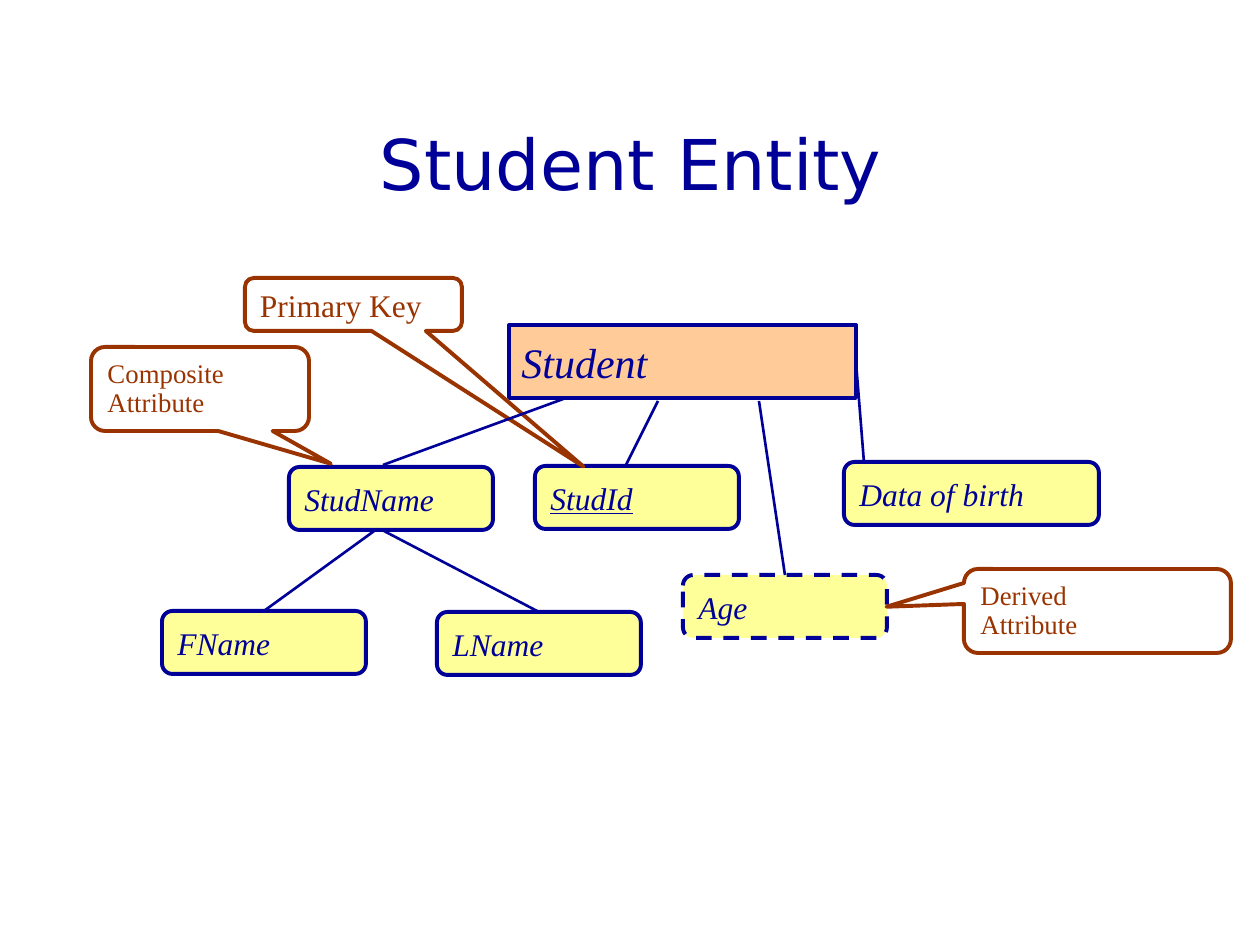
import pptx
import pptx.util
import pptx.dml.color
import pptx.enum.dml
import pptx.enum.shapes
import pptx.enum.text
import pptx.oxml

EMU_PER_PX = 914400 // 126
NAVY, BROWN = "000099", "993300"
PEACH, YELLOW, WHITE = "FFCC99", "FFFF99", "FFFFFF"
SERIF = "Times New Roman"
SHAPES = pptx.enum.shapes.MSO_SHAPE
ALIGN = pptx.enum.text.PP_ALIGN
TOP, RIGHT = 0, 3
CORNER = 0.167

ATTRIBUTE_HEIGHT = 63
ATTRIBUTES = {  # name: (left, top, width)
    "StudId": (535, 466, 204),
    "StudName": (289, 467, 204),
    "Data of birth": (844, 462, 255),
    "FName": (162, 611, 204),
    "LName": (437, 612, 204),
    "Age": (683, 575, 204),
}
CALLOUTS = [  # box, pointer tip as a share of the box, size, line spacing, text
    ((91, 347, 218, 84), (0.6, 0.89), 15.3, 0.9, "Composite Attribute"),
    ((964, 569, 267, 84), (-0.79, -0.05), 15.3, 0.9, "Derived\nAttribute"),
    ((245, 278, 217, 53), (1.06, 3.06), 18, 1.0, "Primary Key"),
]


def px(length):
    return pptx.util.Emu(length * EMU_PER_PX)


def color(value):
    return pptx.dml.color.RGBColor.from_string(value)


def apply_format(target, values):
    for name, value in values.items():
        setattr(target, name, value)


def write_text(shape, text, font_color, size, align=ALIGN.LEFT,
               line_spacing=1.0, **font_format):
    frame = shape.text_frame
    frame.text = text
    frame.vertical_anchor = pptx.enum.text.MSO_ANCHOR.MIDDLE
    for paragraph in frame.paragraphs:
        apply_format(paragraph, {"alignment": align, "line_spacing": line_spacing})
        for run in paragraph.runs:
            apply_format(run.font, {"size": pptx.util.Pt(size), **font_format})
            run.font.color.rgb = color(font_color)


def add_title(slide, text):
    title = slide.shapes.title
    box = {"left": 95, "top": 84, "width": 1071, "height": 158}
    apply_format(title, {name: px(length) for name, length in box.items()})
    write_text(title, text, NAVY, 40, ALIGN.CENTER, name="DejaVu Sans")


def add_box(slide, preset, box, fill, line, adjustments=()):
    shape = slide.shapes.add_shape(preset, *map(px, box))
    shape.shadow.inherit = False
    shape.fill.solid()
    shape.fill.fore_color.rgb = color(fill)
    shape.line.color.rgb = color(line)
    shape.line.width = pptx.util.Pt(2.25)
    for index, value in enumerate(adjustments):
        shape.adjustments[index] = value
    return shape


def add_entity(slide, text, box):
    shape = add_box(slide, SHAPES.RECTANGLE, box, PEACH, NAVY)
    write_text(shape, text, NAVY, 24, name=SERIF, italic=True)
    shape.text_frame.word_wrap = False
    return shape


def add_attribute(slide, text, left, top, width):
    box = (left, top, width, ATTRIBUTE_HEIGHT)
    shape = add_box(slide, SHAPES.ROUNDED_RECTANGLE, box, YELLOW, NAVY, [CORNER])
    write_text(shape, text, NAVY, 18, name=SERIF, italic=True)
    shape.text_frame.word_wrap = False
    return shape


def add_callout(slide, box, tip, size, line_spacing, text):
    shape = add_box(slide, SHAPES.ROUNDED_RECTANGULAR_CALLOUT, box, WHITE, BROWN,
                    [*tip, CORNER])
    write_text(shape, text, BROWN, size, line_spacing=line_spacing, name=SERIF)
    shape.text_frame.word_wrap = True


def add_link(slide, start, end, begin_site=None, end_site=None):
    """Draw a line; a site is a (shape, side) pair to join that end to."""
    link = slide.shapes.add_connector(
        pptx.enum.shapes.MSO_CONNECTOR.STRAIGHT, *map(px, start + end))
    link.line.color.rgb = color(NAVY)
    link.line.width = pptx.util.Pt(1.5)
    properties = link._element.spPr
    properties.append(pptx.oxml.parse_xml(
        '<a:effectLst xmlns:a='
        '"http://schemas.openxmlformats.org/drawingml/2006/main"/>'))
    if begin_site:
        link.begin_connect(*begin_site)
    if end_site:
        link.end_connect(*end_site)


def main():
    presentation = pptx.Presentation()
    apply_format(presentation, {"slide_width": pptx.util.Inches(10),
                                "slide_height": pptx.util.Inches(7.5)})
    slide = presentation.slides.add_slide(presentation.slide_layouts[5])
    add_title(slide, "Student Entity")

    student = add_entity(slide, "Student", (509, 325, 347, 73))
    attributes = {name: add_attribute(slide, name, *place)
                  for name, place in ATTRIBUTES.items()}
    key_run = attributes["StudId"].text_frame.paragraphs[0].runs[0]
    key_run.font.underline = True
    attributes["Age"].line.dash_style = pptx.enum.dml.MSO_LINE.DASH

    for callout in CALLOUTS:
        add_callout(slide, *callout)

    add_link(slide, (658, 401), (625, 467))
    add_link(slide, (566, 398), (383, 465))
    add_link(slide, (377, 529), (262, 607), end_site=(attributes["FName"], TOP))
    add_link(slide, (382, 530), (542, 609), end_site=(attributes["LName"], TOP))
    add_link(slide, (759, 401), (784, 573), end_site=(attributes["Age"], TOP))
    add_link(slide, (854, 364), (864, 462), begin_site=(student, RIGHT))

    presentation.save("out.pptx")


if __name__ == "__main__":
    main()
